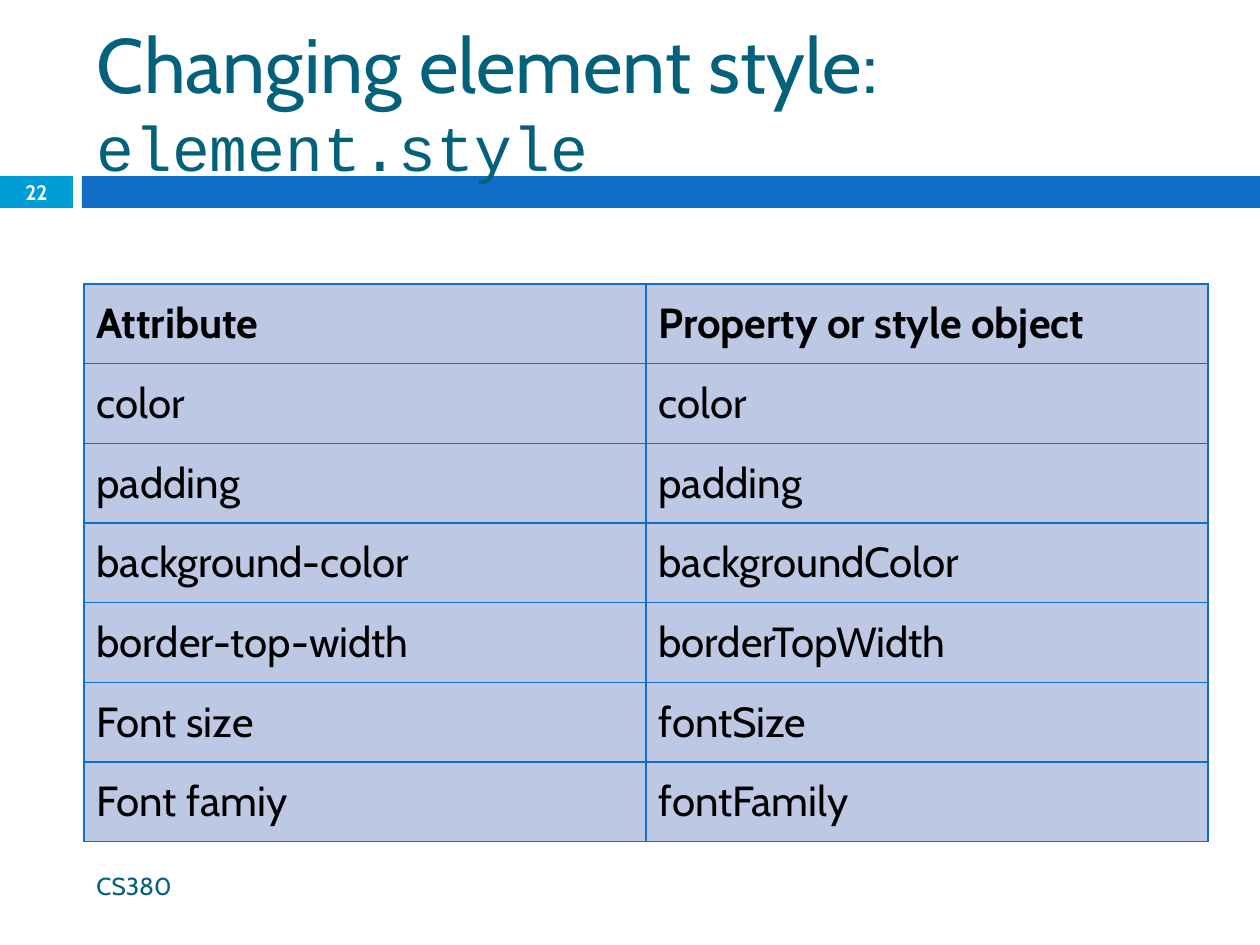
import pptx
import pptx.dml.color
import pptx.enum.shapes
import pptx.enum.text
import pptx.oxml
import pptx.oxml.ns
import pptx.util

EMU_PER_PIXEL = 914400 / 126
COLORS = {"accent": "0F6FC6", "badge": "009DD9", "heading": "04617B",
          "cell": "BDC8E4", "text": "000000", "white": "FFFFFF"}
ROWS = [
    ("Attribute", "Property or style object"),
    ("color", "color"),
    ("padding", "padding"),
    ("background-color", "backgroundColor"),
    ("border-top-width", "borderTopWidth"),
    ("Font size", "fontSize"),
    ("Font famiy", "fontFamily"),
]
MIDDLE = pptx.enum.text.MSO_ANCHOR.MIDDLE


def emu(pixels):
    """Turn pixels into EMU."""
    return pptx.util.Emu(round(pixels * EMU_PER_PIXEL))


def rgb(name):
    """Look up a named colour."""
    return pptx.dml.color.RGBColor.from_string(COLORS[name])


class SlideBuilder:
    """Holds the slide and its text style."""

    def __init__(self, slide, font="Cabin"):
        """Keep the slide and the main font."""
        self.slide = slide
        self.font = font

    def style(self, font, size, color, bold=False, name=None):
        """Set the look of a paragraph or run font."""
        font.name = name or self.font
        font.size = pptx.util.Pt(size)
        font.bold = bold
        font.color.rgb = rgb(color)

    def bar(self, left, top, width, height, color):
        """Draw a plain filled rectangle."""
        shape = self.slide.shapes.add_shape(
            pptx.enum.shapes.MSO_SHAPE.RECTANGLE, *map(emu, (left, top, width, height)))
        shape.shadow.inherit = False
        shape.fill.solid()
        shape.fill.fore_color.rgb = rgb(color)
        shape.line.fill.background()

    def title(self, left, top, width, height, spans):
        """Fill the title from (text, size, font) spans, in front of the bars."""
        title = self.slide.shapes.title
        title.left, title.top, title.width, title.height = map(emu, (left, top, width, height))
        frame = title.text_frame
        frame.word_wrap = True
        frame.auto_size = pptx.enum.text.MSO_AUTO_SIZE.NONE
        frame.vertical_anchor = MIDDLE
        para = frame.paragraphs[0]
        para.alignment = pptx.enum.text.PP_ALIGN.LEFT
        para.line_spacing = 1.0
        for text, size, name in spans:
            span = para.add_run()
            span.text = text
            self.style(span.font, size, "heading", name=name)
        title.element.getparent().append(title.element)

    def text(self, left, top, width, height, text, size, color, bold=False, centered=False):
        """Add a one-line text box."""
        box = self.slide.shapes.add_textbox(*map(emu, (left, top, width, height)))
        frame = box.text_frame
        frame.word_wrap = True
        frame.vertical_anchor = MIDDLE
        para = frame.paragraphs[0]
        para.text = text
        if centered:
            para.alignment = pptx.enum.text.PP_ALIGN.CENTER
        self.style(para.font, size, color, bold)

    def borders(self, cell, color, width):
        """Outline all four sides of a cell."""
        properties = cell._tc.get_or_add_tcPr()
        for index, side in enumerate(("lnL", "lnR", "lnT", "lnB")):
            properties.insert(index, pptx.oxml.parse_xml(
                f'<a:{side} {pptx.oxml.ns.nsdecls("a")} w="{pptx.util.Pt(width)}">'
                f'<a:solidFill><a:srgbClr val="{COLORS[color]}"/></a:solidFill></a:{side}>'))

    def table(self, left, top, width, height, rows, size):
        """Add a bordered table with a bold first row."""
        table = self.slide.shapes.add_table(
            len(rows), len(rows[0]), *map(emu, (left, top, width, height))).table
        for row_index, row in enumerate(rows):
            for column_index, text in enumerate(row):
                cell = table.cell(row_index, column_index)
                cell.fill.solid()
                cell.fill.fore_color.rgb = rgb("cell")
                cell.vertical_anchor = MIDDLE
                self.borders(cell, "accent", 0.8)
                para = cell.text_frame.paragraphs[0]
                para.text = text
                self.style(para.font, size, "text", bold=row_index == 0)


def main():
    """Build and save the deck."""
    deck = pptx.Presentation()
    deck.slide_width, deck.slide_height = emu(1260), emu(945)
    page = SlideBuilder(deck.slides.add_slide(deck.slide_layouts.get_by_name("Title Only")))
    page.bar(0, 176, 73, 32, "badge")
    page.bar(82, 176, 1178, 32, "accent")
    page.title(84, 32, 1124, 136, [("Changing element style: ", 44, "Cabin"),
                                   ("element.style", 36, "Courier New")])
    page.text(0, 175, 73, 34, "22", 12, "white", bold=True, centered=True)
    page.text(84, 861, 747, 50, "CS380", 14, "heading")
    page.table(84, 284, 1124, 558, ROWS, 24)
    deck.save("out.pptx")


main()
